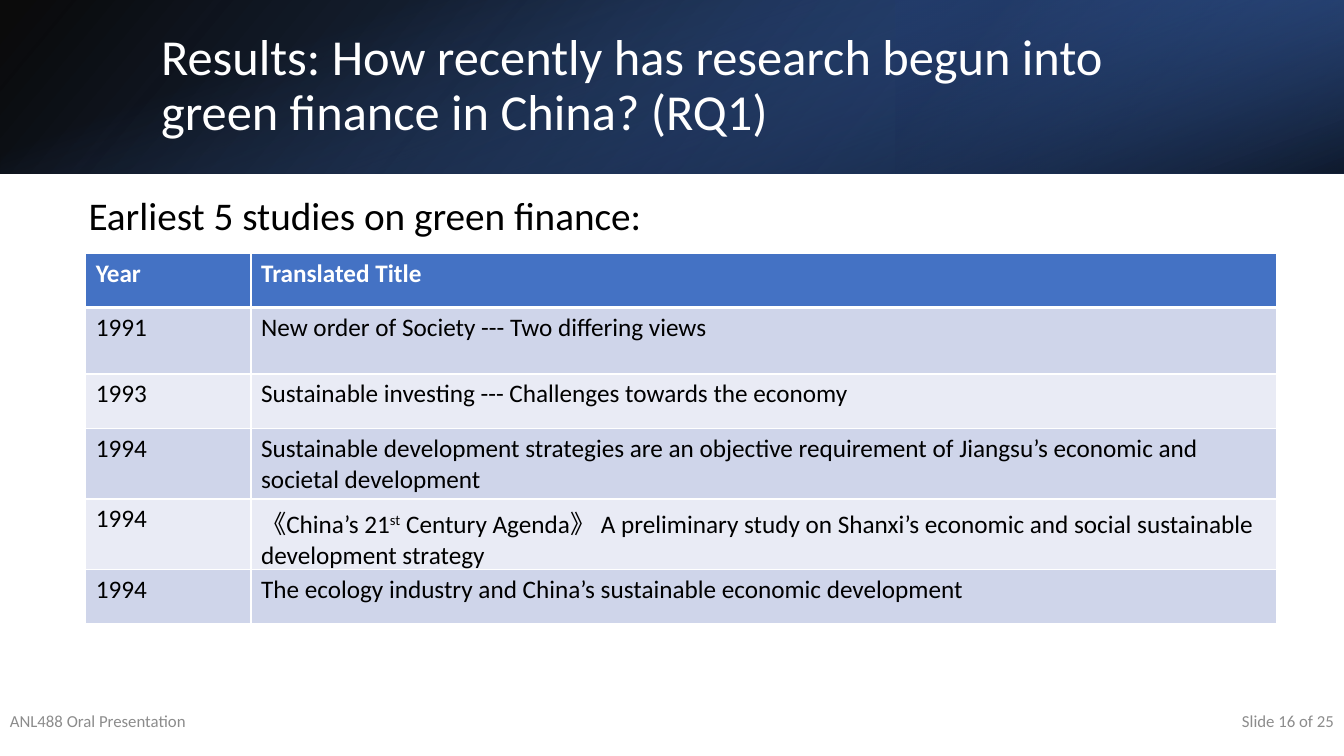
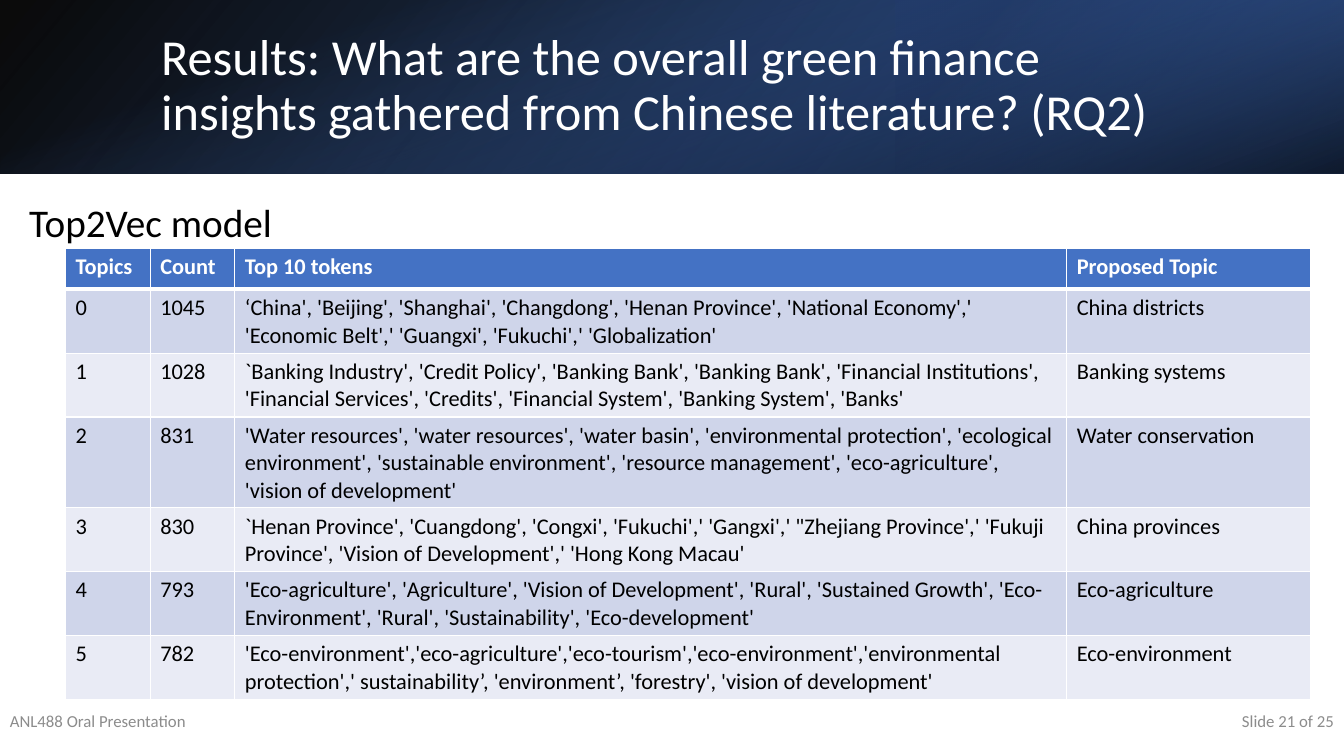
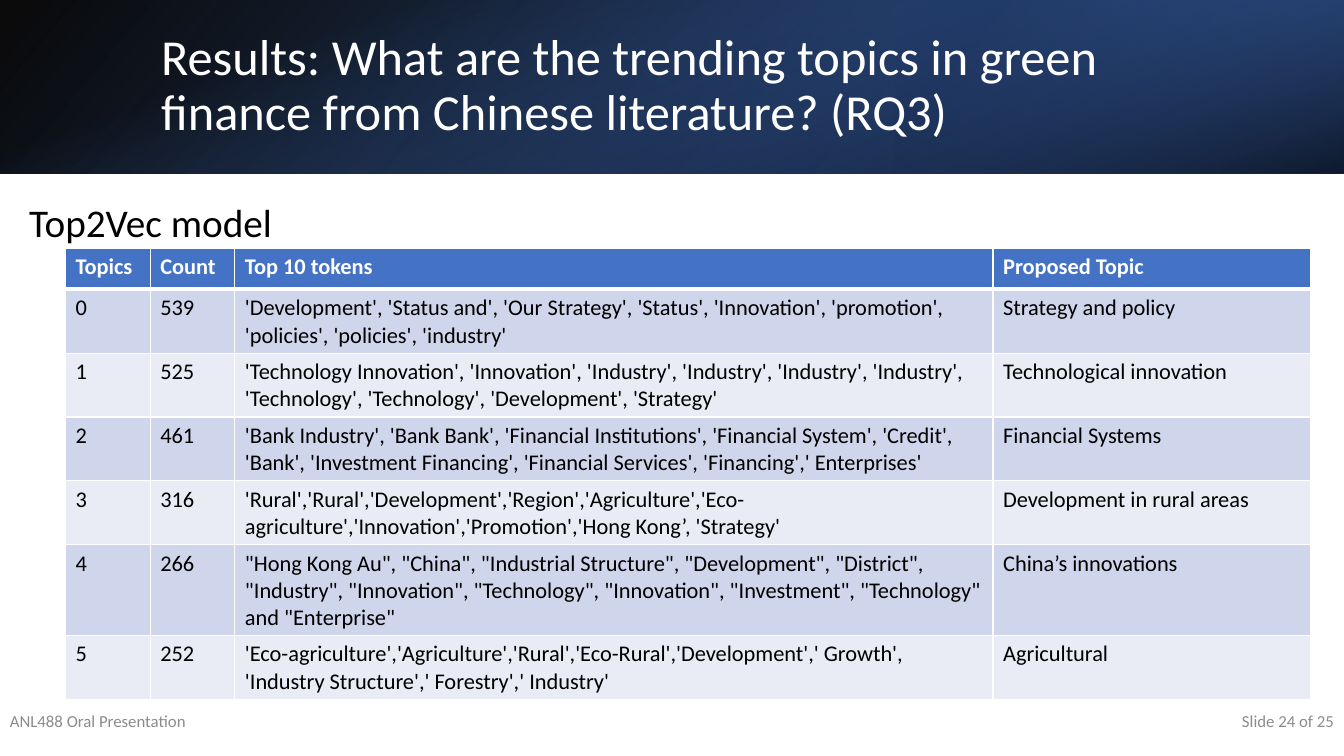
import pptx
import pptx.util
import pptx.dml.color
import pptx.enum.shapes
import pptx.enum.text
import pptx.oxml
import pptx.oxml.ns
from pptx.util import Inches

RGBColor = pptx.dml.color.RGBColor
BLACK = RGBColor(0x00, 0x00, 0x00)
WHITE = RGBColor(0xFF, 0xFF, 0xFF)
NAVY = RGBColor(0x20, 0x38, 0x64)
DEEP_BLUE = RGBColor(0x2F, 0x55, 0x97)
BLUE = RGBColor(0x44, 0x72, 0xC4)
BAND_DARK = RGBColor(0xCF, 0xD5, 0xEA)
BAND_LIGHT = RGBColor(0xE9, 0xEB, 0xF5)
GREY = RGBColor(0x8C, 0x8C, 0x8C)
FONT = "Calibri"
SLIDE_WIDTH, SLIDE_HEIGHT = 13.33, 7.5
BAND_HEIGHT = 1.72
LEFT = pptx.enum.text.PP_ALIGN.LEFT
RIGHT = pptx.enum.text.PP_ALIGN.RIGHT
TOP = pptx.enum.text.MSO_ANCHOR.TOP
MIDDLE = pptx.enum.text.MSO_ANCHOR.MIDDLE

TOPIC_HEADER = ("Topics", "Count", "Top 10 tokens", "Proposed Topic")
TOPIC_ROW_HEIGHTS = (0.41, 0.41, 0.41, 0.41, 0.48, 0.49, 0.43)

EARLIEST_STUDIES = [
    ("Year", "Translated Title"),
    ("1991", "New order of Society --- Two differing views"),
    ("1993", "Sustainable investing --- Challenges towards the economy"),
    ("1994", "Sustainable development strategies are an objective requirement of "
             "Jiangsu’s economic and societal development"),
    ("1994", "《China’s 21^st^ Century Agenda》 A preliminary study on Shanxi’s "
             "economic and social sustainable development strategy"),
    ("1994", "The ecology industry and China’s sustainable economic development"),
]

OVERALL_TOPICS = [
    TOPIC_HEADER,
    ("0", "1045", "‘China', 'Beijing', 'Shanghai', 'Changdong', 'Henan Province', "
     "'National Economy',' 'Economic Belt',' 'Guangxi', 'Fukuchi',' 'Globalization'",
     "China districts"),
    ("1", "1028", "`Banking Industry', 'Credit Policy', 'Banking Bank', 'Banking Bank', "
     "'Financial Institutions', 'Financial Services', 'Credits', 'Financial System', "
     "'Banking System', 'Banks'", "Banking systems"),
    ("2", "831", "'Water resources', 'water resources', 'water basin', "
     "'environmental protection', 'ecological environment', 'sustainable environment', "
     "'resource management', 'eco-agriculture', 'vision of development'",
     "Water conservation"),
    ("3", "830", "`Henan Province', 'Cuangdong', 'Congxi', 'Fukuchi',' 'Gangxi',' "
     "\"Zhejiang Province',' 'Fukuji Province', 'Vision of Development',' "
     "'Hong Kong Macau'", "China provinces"),
    ("4", "793", "'Eco-agriculture', 'Agriculture', 'Vision of Development', 'Rural', "
     "'Sustained Growth', 'Eco-Environment', 'Rural', 'Sustainability', "
     "'Eco-development'", "Eco-agriculture"),
    ("5", "782", "'Eco-environment','eco-agriculture','eco-tourism','eco-environment',"
     "'environmental protection',' sustainability’, 'environment’, 'forestry', "
     "'vision of development'", "Eco-environment"),
]

TRENDING_TOPICS = [
    TOPIC_HEADER,
    ("0", "539", "'Development', 'Status and', 'Our Strategy', 'Status', 'Innovation', "
     "'promotion', 'policies', 'policies', 'industry'", "Strategy and policy"),
    ("1", "525", "'Technology Innovation', 'Innovation', 'Industry', 'Industry', "
     "'Industry', 'Industry', 'Technology', 'Technology', 'Development', 'Strategy'",
     "Technological innovation"),
    ("2", "461", "'Bank Industry', 'Bank Bank', 'Financial Institutions', "
     "'Financial System', 'Credit', 'Bank', 'Investment Financing', "
     "'Financial Services', 'Financing',' Enterprises'", "Financial Systems"),
    ("3", "316", "'Rural','Rural','Development','Region','Agriculture','Eco-agriculture',"
     "'Innovation','Promotion','Hong Kong’, 'Strategy'", "Development in rural areas"),
    ("4", "266", "\"Hong Kong Au\", \"China\", \"Industrial Structure\", "
     "\"Development\", \"District\", \"Industry\", \"Innovation\", \"Technology\", "
     "\"Innovation\", \"Investment\", \"Technology\" and \"Enterprise\"",
     "China’s innovations"),
    ("5", "252", "'Eco-agriculture','Agriculture','Rural','Eco-Rural','Development',"
     "' Growth', 'Industry Structure',' Forestry',' Industry'", "Agricultural"),
]


def style_font(paragraph, size, color, bold=False):
    font = paragraph.font
    font.name = FONT
    font.size = pptx.util.Pt(size)
    font.color.rgb = color
    font.bold = bold


def add_text(slide, box, text, size, color, anchor=TOP, align=LEFT, line_spacing=None):
    frame = slide.shapes.add_textbox(*map(Inches, box)).text_frame
    frame.word_wrap = True
    frame.vertical_anchor = anchor
    paragraph = frame.paragraphs[0]
    paragraph.text = text
    paragraph.alignment = align
    paragraph.line_spacing = line_spacing
    style_font(paragraph, size, color)


def add_gradient(slide, box, stops, angle, rotation=0, flipped=False):
    layer = slide.shapes.add_shape(
        pptx.enum.shapes.MSO_SHAPE.RECTANGLE, *map(Inches, box))
    layer.shadow.inherit = False
    layer.line.fill.background()
    layer.rotation = rotation
    if flipped:
        layer.element.spPr.xfrm.set("flipH", "1")
    layer.fill.gradient()
    layer.fill.gradient_angle = 360 - angle
    for stop, (position, color, _) in zip(layer.fill.gradient_stops, stops):
        stop.position = position / 100
        stop.color.rgb = color
    colors = layer.element.spPr.iter(pptx.oxml.ns.qn("a:srgbClr"))
    for color_element, (_, _, opacity) in zip(list(colors), stops):
        alpha = pptx.oxml.parse_xml(
            f'<a:alpha {pptx.oxml.ns.nsdecls("a")} val="{opacity * 1000}"/>')
        color_element.append(alpha)


def add_title_band(slide):
    corner_width = SLIDE_WIDTH / 3
    add_gradient(slide, (0, 0, SLIDE_WIDTH, BAND_HEIGHT),
                 [(0, BLACK, 96), (100, DEEP_BLUE, 100)], 140, flipped=True)
    add_gradient(slide, (SLIDE_WIDTH - corner_width, 0, corner_width, BAND_HEIGHT),
                 [(19, NAVY, 68), (100, BLUE, 79)], 320, rotation=180, flipped=True)
    offset = (SLIDE_WIDTH - BAND_HEIGHT) / 2
    add_gradient(slide, (offset, -offset, BAND_HEIGHT, SLIDE_WIDTH),
                 [(23, BLUE, 0), (99, BLACK, 74)], 340, rotation=90)


def add_borders(cell, is_header):
    properties = cell._tc.get_or_add_tcPr()
    for side in "LRTB":
        points = 3 if is_header and side == "B" else 1
        properties.append(pptx.oxml.parse_xml(
            f'<a:ln{side} {pptx.oxml.ns.nsdecls("a")} w="{pptx.util.Pt(points)}">'
            f'<a:solidFill><a:srgbClr val="{WHITE}"/></a:solidFill></a:ln{side}>'))


def fill_cell(cell, text, size, row_index):
    is_header = row_index == 0
    add_borders(cell, is_header)
    cell.fill.solid()
    cell.fill.fore_color.rgb = (
        BLUE if is_header else BAND_DARK if row_index % 2 else BAND_LIGHT)
    paragraph = cell.text_frame.paragraphs[0]
    style_font(paragraph, size, WHITE if is_header else BLACK, is_header)
    for part_index, part in enumerate(text.split("^")):
        run = paragraph.add_run()
        run.text = part
        if part_index % 2:
            run.font._element.set("baseline", "30000")


def add_grid(slide, left, top, widths, heights, rows, size):
    table = slide.shapes.add_table(
        len(rows), len(widths), Inches(left), Inches(top),
        Inches(sum(widths)), Inches(sum(heights))).table
    for column, width in zip(table.columns, widths):
        column.width = Inches(width)
    for row_index, (height, texts) in enumerate(zip(heights, rows)):
        table.rows[row_index].height = Inches(height)
        for column_index, text in enumerate(texts):
            fill_cell(table.cell(row_index, column_index), text, size, row_index)


def add_results_slide(deck, title, title_width, heading, heading_at, number):
    slide = deck.slides.add_slide(deck.slide_layouts[6])
    add_title_band(slide)
    add_text(slide, (1.5, 0.38, title_width, 0.96), title, 36, WHITE,
             anchor=MIDDLE, line_spacing=0.9)
    add_text(slide, (*heading_at, 11.5, 4.76), heading, 28, BLACK, line_spacing=0.9)
    add_text(slide, (0, 6.95, 3, 0.4), "ANL488 Oral Presentation", 12, GREY, MIDDLE)
    add_text(slide, (SLIDE_WIDTH - 3, 6.95, 3, 0.4), f"Slide {number} of 25", 12, GREY,
             MIDDLE, RIGHT)
    return slide


def add_topics_slide(deck, title, title_width, number, wide_columns, topics):
    slide = add_results_slide(
        deck, title, title_width, "Top2Vec model", (0.19, 1.97), number)
    add_grid(slide, 0.65, 2.46, (0.84, 0.84, *wide_columns), TOPIC_ROW_HEIGHTS,
             topics, 16)


def main():
    deck = pptx.Presentation()
    deck.slide_width = Inches(SLIDE_WIDTH)
    deck.slide_height = Inches(SLIDE_HEIGHT)
    studies = add_results_slide(
        deck, "Results: How recently has research begun into green finance in China? (RQ1)",
        10.47, "Earliest 5 studies on green finance:", (0.78, 1.9), 16)
    add_grid(studies, 0.85, 2.51, (1.64, 10.17), (0.54, 0.66, 0.54, 0.54, 0.54, 0.54),
             EARLIEST_STUDIES, 18)
    add_topics_slide(
        deck, "Results: What are the overall green finance insights gathered from "
        "Chinese literature? (RQ2)", 10.19, 21, (8.25, 2.42), OVERALL_TOPICS)
    add_topics_slide(
        deck, "Results: What are the trending topics in green finance from "
        "Chinese literature? (RQ3)", 10.45, 24, (7.52, 3.15), TRENDING_TOPICS)
    deck.save("out.pptx")


if __name__ == "__main__":
    main()
